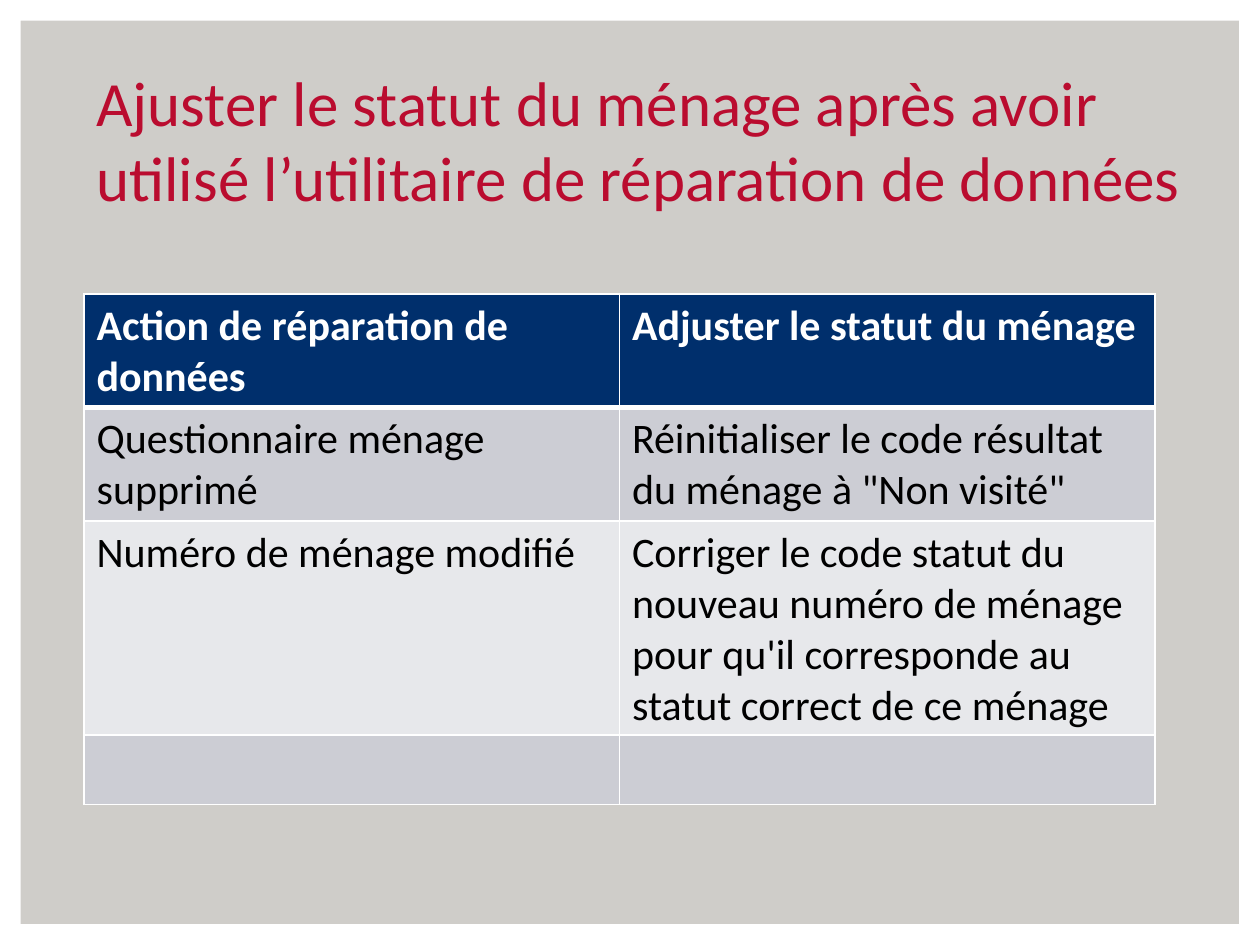
from lxml.etree import SubElement
from pptx import Presentation
from pptx.dml.color import RGBColor
from pptx.enum.shapes import MSO_SHAPE
from pptx.enum.text import MSO_ANCHOR
from pptx.oxml.ns import qn
from pptx.util import Inches, Pt

COLORS = {
    "ground": "CFCDC9", "white": "FFFFFF", "black": "000000",
    "red": "BA0C2F", "navy": "002F6C", "dark": "CCCDD4", "light": "E7E8EB",
}
COLS, ROWS = 60, 45
TITLE = ("Ajuster le statut du ménage après avoir utilisé "
         "l’utilitaire de réparation de données")
TABLE = [
    ("Action de réparation de données", "Adjuster le statut du ménage"),
    ("Questionnaire ménage supprimé",
     'Réinitialiser le code résultat du ménage à "Non visité"'),
    ("Numéro de ménage modifié",
     "Corriger le code statut du nouveau numéro de ménage pour qu'il "
     "corresponde au statut correct de ce ménage"),
    ("", ""),
]
HEIGHTS = [3.3, 3.3, 8.1, 3.3]


def color(name):
    return RGBColor.from_string(COLORS[name])


class Deck:
    """Holds the style and the current slide; lengths are in grid units."""

    def __init__(self):
        self.prs = Presentation()
        self.prs.slide_width, self.prs.slide_height = Inches(10), Inches(7.5)
        self.slide = self.prs.slides.add_slide(self.prs.slide_layouts[6])
        self.paint(self.slide.background, "ground")

    def box(self, x, y, w, h):
        dx, dy = self.prs.slide_width / COLS, self.prs.slide_height / ROWS
        return [round(v) for v in (x * dx, y * dy, w * dx, h * dy)]

    def paint(self, item, name):
        item.fill.solid()
        item.fill.fore_color.rgb = color(name)

    def label(self, frame, text, size, name, bold=False):
        para = frame.paragraphs[0]
        para.text = text
        style = {"name": "Calibri", "size": Pt(size), "bold": bold}
        for font in [para.font] + [run.font for run in para.runs]:
            for key, value in style.items():
                setattr(font, key, value)
            font.color.rgb = color(name)

    def frame(self, share):
        shape = self.slide.shapes.add_shape(
            MSO_SHAPE.FRAME, *self.box(0, 0, COLS, ROWS))
        shape.adjustments[0] = share
        shape.shadow.inherit = False
        shape.line.fill.background()
        self.paint(shape, "white")

    def title(self, text, *place):
        frame = self.slide.shapes.add_textbox(*self.box(*place)).text_frame
        frame.word_wrap = True
        frame.vertical_anchor = MSO_ANCHOR.BOTTOM
        self.label(frame, text, 36, "red")

    def edge(self, cell, side, width):
        line = SubElement(cell._tc.get_or_add_tcPr(), qn(f"a:ln{side}"),
                          w=str(Pt(width)))
        fill = SubElement(line, qn("a:solidFill"))
        SubElement(fill, qn("a:srgbClr"), val=COLORS["white"])

    def table(self, data, heights, x, y, w):
        place = self.box(x, y, w, sum(heights))
        table = self.slide.shapes.add_table(
            len(data), len(data[0]), *place).table
        for r, texts in enumerate(data):
            table.rows[r].height = self.box(0, 0, 0, heights[r])[3]
            head = r == 0
            fill = "navy" if head else "dark" if r % 2 else "light"
            for c, text in enumerate(texts):
                cell = table.cell(r, c)
                widths = {"L": 1, "R": 1, "T": 3 if r == 1 else 1,
                          "B": 3 if head else 1}
                for side, width in widths.items():
                    self.edge(cell, side, width)
                self.paint(cell, fill)
                self.label(cell.text_frame, text, 24,
                           "white" if head else "black", head)


def main():
    deck = Deck()
    deck.frame(0.022)
    deck.title(TITLE, 4, 7, 55, 3.5)
    deck.table(TABLE, HEIGHTS, 4, 14, 51)
    deck.prs.save("out.pptx")


if __name__ == "__main__":
    main()
